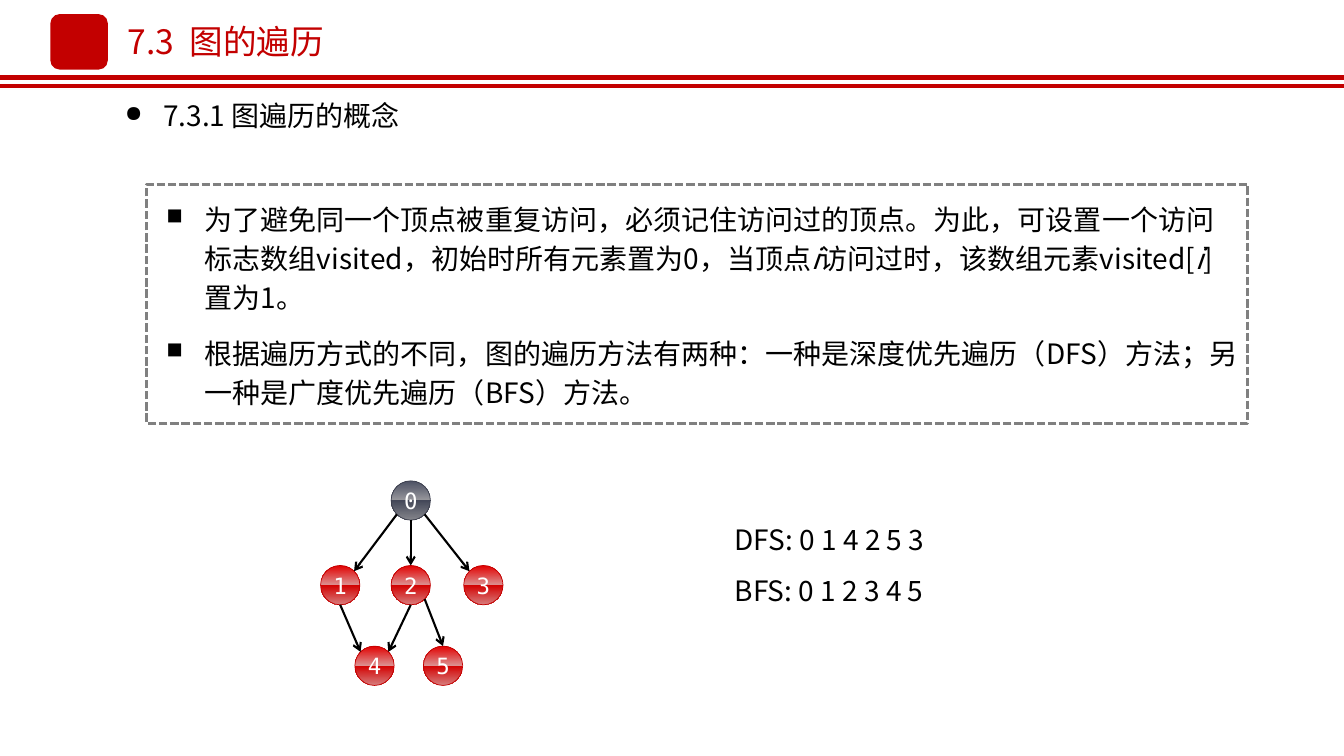
from math import cos, radians, sin

from lxml import etree
from pptx import Presentation
from pptx.dml.color import RGBColor
from pptx.enum.dml import MSO_LINE
from pptx.enum.shapes import MSO_CONNECTOR, MSO_SHAPE
from pptx.enum.text import MSO_ANCHOR, MSO_AUTO_SIZE, PP_ALIGN
from pptx.oxml.ns import qn
from pptx.util import Inches, Pt

RECT, OVAL, ROUND = MSO_SHAPE.RECTANGLE, MSO_SHAPE.OVAL, MSO_SHAPE.ROUNDED_RECTANGLE
STRAIGHT, DASH = MSO_CONNECTOR.STRAIGHT, MSO_LINE.SQUARE_DOT
TOP, MIDDLE = MSO_ANCHOR.TOP, MSO_ANCHOR.MIDDLE
LEFT, CENTER = PP_ALIGN.LEFT, PP_ALIGN.CENTER
GROW = MSO_AUTO_SIZE.SHAPE_TO_FIT_TEXT

COLORS = {"red": "C30000", "black": "000000", "white": "FFFFFF",
          "gray": "808080", "slate": "3B3E4D"}
# Two glossy bands, each a pair of stops
GLOSS = {
    "slate": ["A3A4A8", "4B4F62", "97979C", "434758", "84858B", "434758"],
    "red": ["E59D9D", "E20000", "DC9090", "D30000", "D77C7C", "D30000"],
}
SANS, MONO = "Noto Sans CJK SC", "DejaVu Sans Mono"
CELL = 0.1  # inches per grid column and row
COLS, ROWS = 133.33, 75


def grid(*cells):
    return [Inches(cell * CELL) for cell in cells]


def color(name):
    return RGBColor.from_string(COLORS[name])


def write(frame, text, size=20, font=SANS, ink="black", align=LEFT,
          bullet=None, spacing=None, gap=0):
    """One paragraph per line; *stars* mark italic words."""
    for n, line in enumerate(text.split("\n")):
        para = frame.add_paragraph() if n else frame.paragraphs[0]
        para.alignment = align
        if bullet:
            props = para._p.get_or_add_pPr()
            hang = Inches(0.38)
            props.set("marL", str(hang))
            props.set("indent", str(-hang))
            etree.SubElement(props, qn("a:buSzPct"), val="80000")
            etree.SubElement(props, qn("a:buChar"), char=bullet)
        if spacing:
            para.line_spacing = spacing
        if n and gap:
            para.space_before = Pt(gap)
        for k, part in enumerate(line.split("*")):
            run = para.add_run()
            run.text = part
            run.font.size = Pt(size)
            run.font.name = font
            run.font.italic = k % 2 == 1
            run.font.color.rgb = color(ink)
            latin = run._r.rPr.find(qn("a:latin"))
            latin.addnext(latin.makeelement(qn("a:ea"), typeface=font))


class Deck:
    radius = 1.95

    def __init__(self):
        self.prs = Presentation()
        self.prs.slide_width, self.prs.slide_height = grid(COLS, ROWS)
        self.slide = self.prs.slides.add_slide(self.prs.slide_layouts[6])

    def shape(self, kind, box, fill=None, line=None, width=1):
        shape = self.slide.shapes.add_shape(kind, *grid(*box))
        shape.shadow.inherit = False
        if fill:
            shape.fill.solid()
            shape.fill.fore_color.rgb = color(fill)
        else:
            shape.fill.background()
        if line:
            shape.line.color.rgb = color(line)
            shape.line.width = Pt(width)
        else:
            shape.line.fill.background()
        return shape

    def frame(self, shape, pads, anchor=TOP):
        frame = shape.text_frame
        (frame.margin_left, frame.margin_top,
         frame.margin_right, frame.margin_bottom) = grid(*pads)
        frame.vertical_anchor = anchor
        frame.word_wrap = True
        return frame

    def label(self, box, text, anchor=TOP, **style):
        shape = self.slide.shapes.add_textbox(*grid(*box))
        frame = self.frame(shape, (1, 0.5, 1, 0.5), anchor)
        frame.auto_size = GROW
        write(frame, text, **style)

    def panel(self, box, text, **style):
        shape = self.shape(RECT, box, line="gray", width=2)
        shape.line.dash_style = DASH
        frame = self.frame(shape, (2, 1.2, 1, 1.2))
        frame.auto_size = GROW
        write(frame, text, **style)

    def line(self, start, end, ink="black", width=1.5, arrow=False):
        line = self.slide.shapes.add_connector(STRAIGHT, *grid(*start, *end))
        line.line.color.rgb = color(ink)
        line.line.width = Pt(width)
        if arrow:
            etree.SubElement(line.line._get_or_add_ln(), qn("a:tailEnd"), type="arrow")
        etree.SubElement(line._element.spPr, qn("a:effectLst"))

    def node(self, center, text, tone):
        x, y = center
        r = self.radius
        shape = self.shape(OVAL, (x - r, y - r, 2 * r, 2 * r), line=tone, width=0.5)
        shape.fill.gradient()
        shape.fill.gradient_angle = 270
        stops = shape._element.spPr.find(qn("a:gradFill")).find(qn("a:gsLst"))
        stops[:] = []
        for n, tint in enumerate(GLOSS[tone]):
            stop = etree.SubElement(stops, qn("a:gs"), pos=str(n // 2 * 50000))
            etree.SubElement(stop, qn("a:srgbClr"), val=tint)
        frame = self.frame(shape, (0, 0, 0, 0), MIDDLE)
        write(frame, text, size=16, font=MONO, ink="white", align=CENTER)

    def rim(self, center, angle):
        """Point on a node's rim, counted anticlockwise from the right."""
        x, y = center
        turn = radians(angle)
        return x + self.radius * cos(turn), y - self.radius * sin(turn)


def main():
    deck = Deck()

    # Header: double rule, badge and title
    for row in (7.7, 8.5):
        deck.line((0, row), (COLS, row), ink="red", width=3)
    deck.shape(ROUND, (5, 1.4, 5.7, 5.5), fill="red")
    deck.label((11.7, 1.6, 26, 5), "7.3  图的遍历", anchor=MIDDLE, size=24, ink="red")
    deck.label((11.4, 9.3, 53, 4.4), "7.3.1 图遍历的概念", bullet="●")

    # Explanation
    deck.panel(
        (14.5, 18.3, 109.3, 23.7),
        "为了避免同一个顶点被重复访问，必须记住访问过的顶点。为此，可设置一个访问标志数组visited，"
        "初始时所有元素置为0，当顶点*i*访问过时，该数组元素visited[*i*]置为1。\n"
        "根据遍历方式的不同，图的遍历方法有两种：一种是深度优先遍历（DFS）方法；"
        "另一种是广度优先遍历（BFS）方法。",
        bullet="■", spacing=Pt(28), gap=12)

    # Graph: node centres, then edges as (from, angle, to, angle)
    nodes = [(40.75, 49.65), (33.75, 58.05), (40.75, 58.05),
             (47.95, 58.05), (37.15, 66.05), (43.95, 66.05)]
    edges = [(0, 225, 1, 45), (0, 270, 2, 90), (0, 315, 3, 135),
             (1, 270, 4, 135), (2, 270, 4, 45), (2, 315, 5, 90)]
    for n, center in enumerate(nodes):
        deck.node(center, str(n), "red" if n else "slate")
    for start, out, end, back in edges:
        deck.line(deck.rim(nodes[start], out), deck.rim(nodes[end], back), arrow=True)

    # Visiting orders
    deck.label((71.9, 49.7, 29.7, 11.1), "DFS: 0 1 4 2 5 3\nBFS: 0 1 2 3 4 5",
               spacing=1.5)

    deck.prs.save("out.pptx")


if __name__ == "__main__":
    main()
